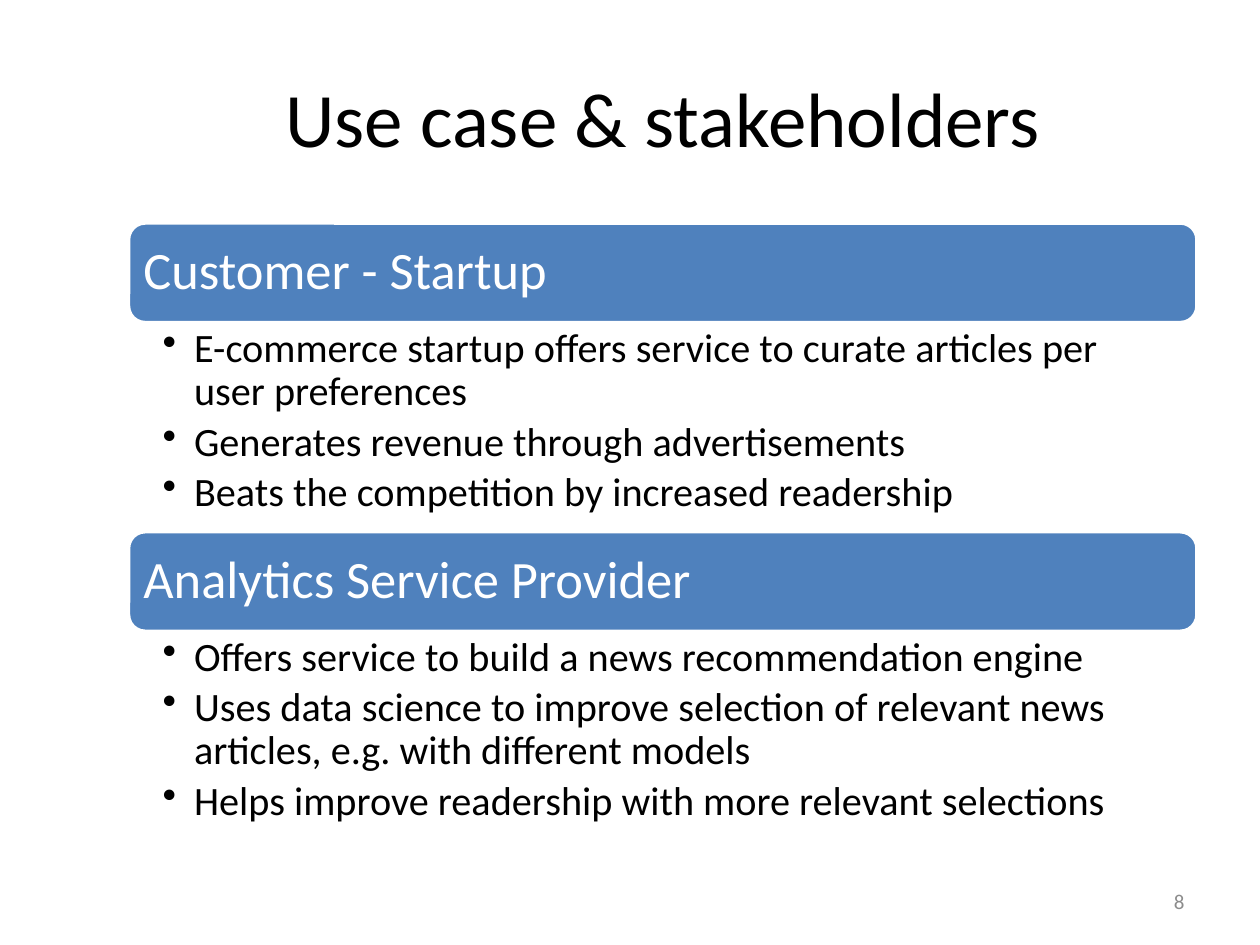
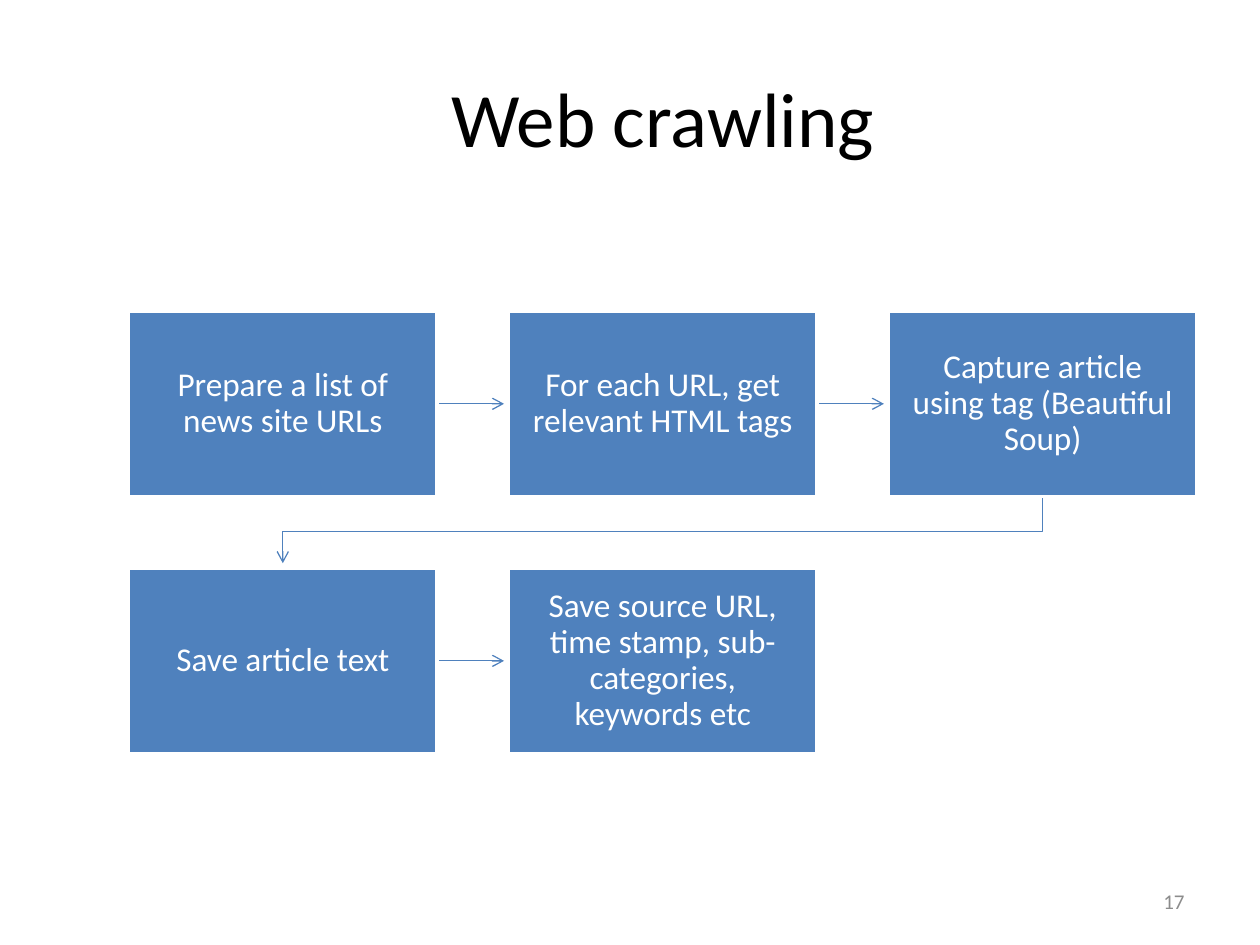
from dataclasses import dataclass
from typing import NamedTuple

from lxml import etree
from pptx import Presentation
from pptx.dml.color import RGBColor
from pptx.enum.shapes import MSO_CONNECTOR, MSO_SHAPE
from pptx.enum.text import MSO_ANCHOR, PP_ALIGN
from pptx.oxml.ns import qn
from pptx.util import Inches, Pt

RECT, ROUND_RECT = MSO_SHAPE.RECTANGLE, MSO_SHAPE.ROUNDED_RECTANGLE
STRAIGHT = MSO_CONNECTOR.STRAIGHT
TOP, MIDDLE = MSO_ANCHOR.TOP, MSO_ANCHOR.MIDDLE
LEFT, CENTER, RIGHT = PP_ALIGN.LEFT, PP_ALIGN.CENTER, PP_ALIGN.RIGHT

W, H = 10, 7.5
FONT = "Calibri"
BLUE, WHITE, BLACK, GREY = "4F81BD", "FFFFFF", "000000", "8C8C8C"
MARGIN_L, CONTENT_W = 0.102 * W, 0.848 * W
MARGIN_R = MARGIN_L + CONTENT_W


class Area(NamedTuple):
    x: float
    y: float
    w: float
    h: float

    def emu(self) -> list[int]:
        return [Inches(v) for v in self]


class Style(NamedTuple):
    size: float
    color: str
    align: PP_ALIGN = LEFT
    anchor: MSO_ANCHOR = MIDDLE
    insets: tuple = (0.1, 0.05, 0.1, 0.05)
    spacing: float = 1.0
    after: float = 0
    bullet: bool = False


@dataclass
class Stakeholder:
    name: str
    points: list[str]


@dataclass
class Step:
    col: int
    row: int
    text: str

    def area(self) -> Area:
        return Area(MARGIN_L + self.col * COL_PITCH, STEP_TOP + self.row * ROW_PITCH,
                    STEP_W, STEP_H)


TITLE_AREA = Area(MARGIN_L, 0.04 * H, CONTENT_W, 1.25)
NUMBER_AREA = Area(MARGIN_R - 2.33, 6.95, 2.33, 0.4)
HEADER_TOP, HEADER_H, POINTS_H = 1.77, 0.79, 1.66
STEP_TOP, STEP_W, STEP_H = 2.47, 2.45, 1.47
COL_PITCH, ROW_PITCH = (CONTENT_W - STEP_W) / 2, 2.04
ARROW_W, BEND, DROP = 0.53, 0.28, 0.53

TITLE = Style(44, BLACK, CENTER)
NUMBER = Style(12, GREY, RIGHT)
HEADER = Style(30, WHITE, insets=(0.08,) * 4, spacing=0.9)
POINTS = Style(23, BLACK, anchor=TOP, insets=(0.27, 0.04, 0.23, 0.04),
               spacing=0.9, after=4, bullet=True)
STEP = Style(19, WHITE, CENTER, insets=(0.15,) * 4, spacing=0.9)

STAKEHOLDERS = [
    Stakeholder("Customer - Startup", [
        "E-commerce startup offers service to curate articles per user preferences",
        "Generates revenue through advertisements",
        "Beats the competition by increased readership",
    ]),
    Stakeholder("Analytics Service Provider", [
        "Offers service to build a news recommendation engine",
        "Uses data science to improve selection of relevant news articles, "
        "e.g. with different models",
        "Helps improve readership with more relevant selections",
    ]),
]
STEPS = [
    Step(0, 0, "Prepare a list of news site URLs"),
    Step(1, 0, "For each URL, get relevant HTML tags"),
    Step(2, 0, "Capture article using tag (Beautiful Soup)"),
    Step(0, 1, "Save article text"),
    Step(1, 1, "Save source URL, time stamp, sub-categories, keywords etc"),
]


def rgb(color: str) -> RGBColor:
    return RGBColor.from_string(color)


def write(sp, texts: list[str], style: Style) -> None:
    tf = sp.text_frame
    tf.word_wrap = True
    tf.vertical_anchor = style.anchor
    tf.margin_left, tf.margin_top, tf.margin_right, tf.margin_bottom = map(Inches, style.insets)
    for i, text in enumerate(texts):
        p = tf.add_paragraph() if i else tf.paragraphs[0]
        p.alignment = style.align
        p.line_spacing = style.spacing
        p.space_after = Pt(style.after)
        if style.bullet:
            p.level = 1
            pPr = p._p.get_or_add_pPr()
            pPr.set("marL", str(Inches(0.25)))
            pPr.set("indent", str(-Inches(0.25)))
            etree.SubElement(pPr, qn("a:buChar")).set("char", "•")
        r = p.add_run()
        r.text = text
        r.font.name, r.font.size = FONT, Pt(style.size)
        r.font.color.rgb = rgb(style.color)


def add_text(s, area: Area, texts: list[str], style: Style) -> None:
    write(s.shapes.add_textbox(*area.emu()), texts, style)


def add_box(s, kind: MSO_SHAPE, area: Area, text: str, style: Style):
    sp = s.shapes.add_shape(kind, *area.emu())
    sp.shadow.inherit = False
    sp.fill.solid()
    sp.fill.fore_color.rgb = rgb(BLUE)
    sp.line.color.rgb = rgb(WHITE)
    sp.line.width = Pt(2)
    write(sp, [text], style)
    return sp


def style_arrow(sp) -> None:
    sp.line.color.rgb = rgb(BLUE)
    sp.line.width = Pt(0.75)
    etree.SubElement(sp.get_or_add_ln(), qn("a:tailEnd")).set("type", "arrow")


def add_arrow(s, box, area: Area) -> None:
    x, y = area.x + area.w, area.y + area.h / 2
    c = s.shapes.add_connector(STRAIGHT, *map(Inches, (x, y, x + ARROW_W, y)))
    c.begin_connect(box, 3)
    style_arrow(c)
    etree.SubElement(c.element.spPr, qn("a:effectLst"))
    box.element.addprevious(c.element)


def add_return_arrow(s, box, start: Area, end: Area) -> None:
    x1, x2 = start.x + start.w / 2, end.x + end.w / 2
    y = start.y + start.h
    points = [(x1, y), (x1, y + BEND), (x2, y + BEND), (x2, y + DROP)]
    first, *rest = [(Inches(px), Inches(py)) for px, py in points]
    fb = s.shapes.build_freeform(*first)
    fb.add_line_segments(rest, close=False)
    sp = fb.convert_to_shape()
    sp.shadow.inherit = False
    sp.fill.background()
    style_arrow(sp)
    box.element.addprevious(sp.element)


def add_slide(prs, title: str, number: int):
    s = prs.slides.add_slide(prs.slide_layouts[5])
    sp = s.shapes.title
    sp.left, sp.top, sp.width, sp.height = TITLE_AREA.emu()
    write(sp, [title], TITLE)
    add_text(s, NUMBER_AREA, [str(number)], NUMBER)
    return s


def build_stakeholders(prs) -> None:
    s = add_slide(prs, "Use case & stakeholders", 8)
    for i, holder in enumerate(STAKEHOLDERS):
        y = HEADER_TOP + i * (HEADER_H + POINTS_H)
        add_box(s, ROUND_RECT, Area(MARGIN_L, y, CONTENT_W, HEADER_H), holder.name, HEADER)
        add_text(s, Area(MARGIN_L, y + HEADER_H, CONTENT_W, POINTS_H), holder.points, POINTS)


def build_crawling(prs) -> None:
    s = add_slide(prs, "Web crawling", 17)
    boxes = [add_box(s, RECT, step.area(), step.text, STEP) for step in STEPS]
    for box, step, following in zip(boxes, STEPS, STEPS[1:]):
        if step.row == following.row:
            add_arrow(s, box, step.area())
        else:
            add_return_arrow(s, box, step.area(), following.area())


def main() -> None:
    prs = Presentation()
    prs.slide_width, prs.slide_height = Inches(W), Inches(H)
    build_stakeholders(prs)
    build_crawling(prs)
    prs.save("out.pptx")


if __name__ == "__main__":
    main()
